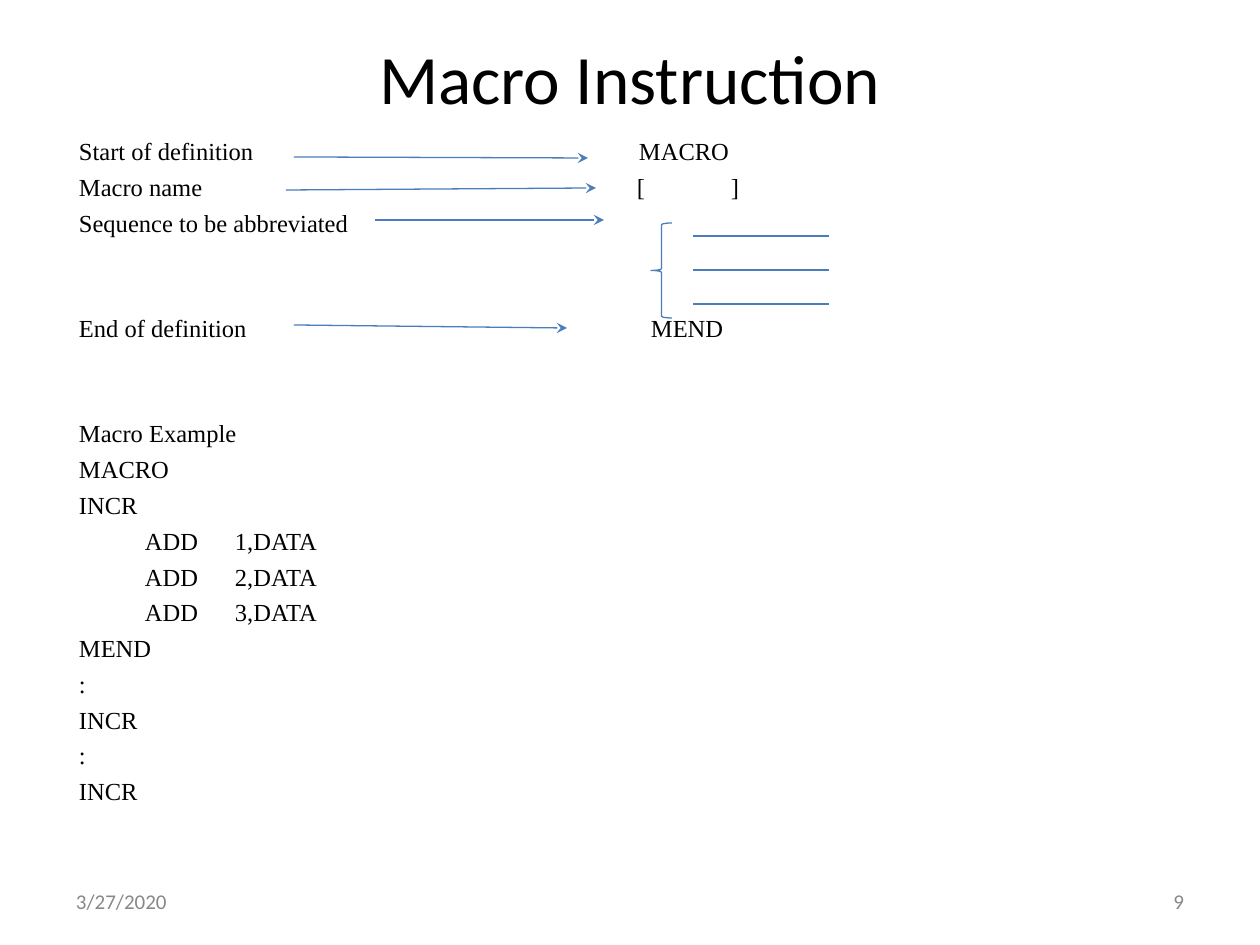
from dataclasses import dataclass
from lxml import etree
from pptx import Presentation, util as u
from pptx.dml.color import RGBColor
from pptx.enum import shapes, text
from pptx.oxml.ns import qn

SCALE = 914400 / 126


def px(n):
    return u.Emu(round(n * SCALE))


@dataclass(frozen=True)
class Theme:
    ink: str = "000000"
    muted: str = "888888"
    line: str = "4A7DBA"
    heading_font: str = "Calibri"
    body_font: str = "Times New Roman"
    title_size: float = 39.6
    body_size: float = 14
    footer_size: float = 12
    line_width: float = 0.75
    line_spacing: float = 0.8
    space_before: float = 7
    line_pitch: float = 19.87


class SlideBuilder:
    def __init__(self, s, theme):
        self.s = s
        self.theme = theme

    def box(self, x, y, w, h, anchor, left=13):
        tf = self.s.shapes.add_textbox(px(x), px(y), px(w), px(h)).text_frame
        tf.word_wrap = True
        tf.vertical_anchor = anchor
        tf.margin_left, tf.margin_right = px(left), px(13)
        tf.margin_top = tf.margin_bottom = px(6)
        return tf

    def run(self, p, content, font, size, color):
        r = p.add_run()
        r.text = content
        r.font.name = font
        r.font.size = u.Pt(size)
        r.font.color.rgb = RGBColor.from_string(color)

    def label(self, x, y, w, h, content, size, color, align):
        p = self.box(x, y, w, h, text.MSO_ANCHOR.MIDDLE).paragraphs[0]
        p.alignment = align
        self.run(p, content, self.theme.heading_font, size, color)

    def listing(self, x, y, w, h, rows):
        t = self.theme
        tf = self.box(x, y, w, h, text.MSO_ANCHOR.TOP, left=16)
        for i, (content, stops, skipped) in enumerate(rows):
            p = tf.add_paragraph() if i else tf.paragraphs[0]
            p.line_spacing = t.line_spacing
            p.space_before = u.Pt(t.space_before + skipped * t.line_pitch)
            if stops:
                tabs = etree.SubElement(p._p.get_or_add_pPr(), qn("a:tabLst"))
                for stop in stops:
                    etree.SubElement(tabs, qn("a:tab"), pos=str(px(stop)), algn="l")
            self.run(p, content, t.body_font, t.body_size, t.ink)

    def stroke(self, sp):
        sp.line.color.rgb = RGBColor.from_string(self.theme.line)
        sp.line.width = u.Pt(self.theme.line_width)

    def line(self, x1, y1, x2, y2, arrow=False):
        sp = self.s.shapes.add_connector(
            shapes.MSO_CONNECTOR.STRAIGHT, px(x1), px(y1), px(x2), px(y2))
        self.stroke(sp)
        if arrow:
            etree.SubElement(sp.line._get_or_add_ln(), qn("a:tailEnd"), type="stealth")
        etree.SubElement(sp._element.spPr, qn("a:effectLst"))

    def brace(self, x, y, w, h):
        sp = self.s.shapes.add_shape(
            shapes.MSO_SHAPE.LEFT_BRACE, px(x), px(y), px(w), px(h))
        sp.shadow.inherit = False
        sp.fill.background()
        self.stroke(sp)


def main():
    theme = Theme()
    prs = Presentation()
    prs.slide_width, prs.slide_height = px(1260), px(945)
    s = prs.slides.add_slide(prs.slide_layouts[6])
    b = SlideBuilder(s, theme)

    b.label(63, 38, 1134, 78, "Macro Instruction", theme.title_size, theme.ink,
            text.PP_ALIGN.CENTER)

    code = (66, 156)
    rows = [
        ("Start of definition\tMACRO", (560,), 0),
        ("Macro name\t[\t]", (558, 652), 0),
        ("Sequence to be abbreviated", (), 0),
        ("End of definition\tMEND", (572,), 2),
        ("Macro Example", (), 2),
        ("MACRO", (), 0),
        ("INCR", (), 0),
    ]
    rows += [(f"\tADD\t{n},DATA", code, 0) for n in (1, 2, 3)]
    rows += [(word, (), 0) for word in ("MEND", ":", "INCR", ":", "INCR")]
    b.listing(63, 136, 1134, 708, rows)

    for ends in ((294, 157, 588, 158), (286, 190, 596, 188),
                 (375, 220, 604, 220), (294, 325, 567, 328)):
        b.line(*ends, arrow=True)
    b.brace(651, 223, 21, 95)
    for i in range(3):
        y = 236 + 34 * i
        b.line(693, y, 829, y)

    for x, content, align in ((63, "3/27/2020", text.PP_ALIGN.LEFT),
                              (903, "9", text.PP_ALIGN.RIGHT)):
        b.label(x, 876, 294, 50, content, theme.footer_size, theme.muted, align)

    prs.save("out.pptx")


if __name__ == "__main__":
    main()
